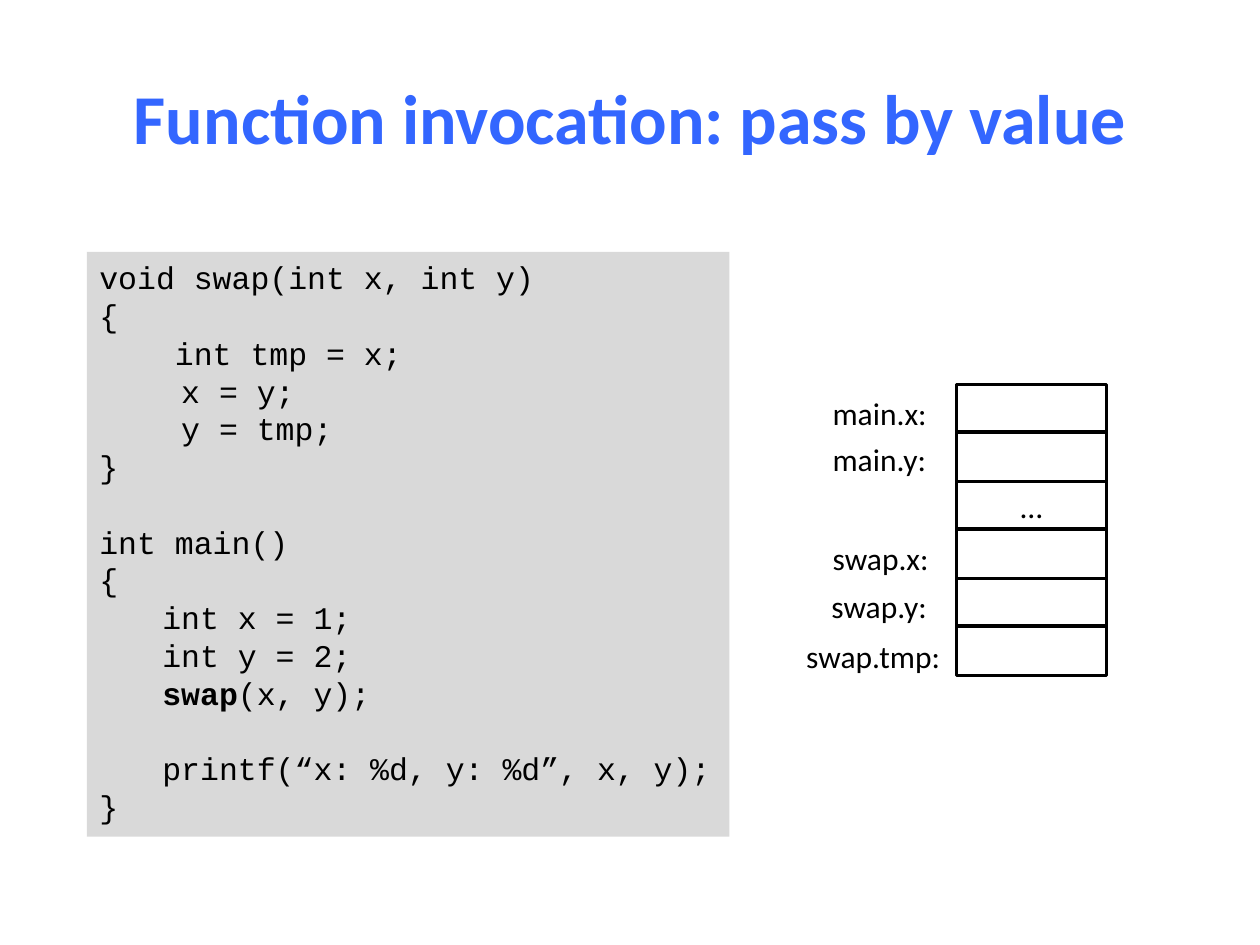
from dataclasses import dataclass
from lxml.etree import SubElement
from pptx import Presentation
from pptx.dml.color import RGBColor
from pptx.enum.shapes import MSO_SHAPE as Kind
from pptx.enum.text import MSO_ANCHOR as Anchor, MSO_AUTO_SIZE as Fit, PP_ALIGN as Align
from pptx.oxml.ns import qn
from pptx.util import Emu, Pt

SCALE = 9144
TAB = 50
LINE = 21.5
TOP, PITCH = 305, 38.4


@dataclass
class Cell:
    label: str = ""
    left: int = 0
    top: int = 0
    width: int = 0
    text: str = ""


@dataclass
class Line:
    text: str
    bold: str = ""
    rest: str = ""
    gap: bool = False


CELLS = [
    Cell("main.x:", 651, 308, 96),
    Cell("main.y:", 651, 344, 96),
    Cell(text="…"),
    Cell("swap.x:", 651, 423, 97),
    Cell("swap.y:", 650, 461, 97),
    Cell("swap.tmp:", 630, 501, 128),
]

CODE = [
    Line("void swap(int x, int y)"),
    Line("{"),
    Line("    int tmp = x;"),
    Line("\t x = y;"),
    Line("\t y = tmp;"),
    Line("}"),
    Line("int main()", gap=True),
    Line("{"),
    Line("\tint x = 1;"),
    Line("\tint y = 2;"),
    Line("\t", "swap", "(x, y);"),
    Line("\tprintf(“x: %d, y: %d”, x, y);", gap=True),
    Line("}"),
]


def px(n: int) -> Emu:
    return Emu(n * SCALE)


def color(code: str) -> RGBColor:
    return RGBColor.from_string(code)


def style(para, size: int = 18, face: str = "Calibri", tint: str = "000000") -> None:
    font = para.font
    font.size, font.name = Pt(size), face
    font.color.rgb = color(tint)


def rect(slide, x: int, y: int, w: int, h: int, fill: str):
    box = slide.shapes.add_shape(Kind.RECTANGLE, px(x), px(y), px(w), px(h))
    box.shadow.inherit = False
    box.fill.solid()
    box.fill.fore_color.rgb = color(fill)
    return box


def draw_title(slide) -> None:
    title = slide.shapes.title
    title.left, title.top, title.width, title.height = map(px, (50, 30, 900, 125))
    frame = title.text_frame
    frame.text = "Function invocation: pass by value"
    frame.vertical_anchor = Anchor.MIDDLE
    para = frame.paragraphs[0]
    para.alignment = Align.CENTER
    style(para, 40, tint="3366FF")
    para.font.bold = True


def draw_cell(slide, cell: Cell, row: int) -> None:
    box = rect(slide, 759, round(TOP + row * PITCH), 119, 39, "FFFFFF")
    box.line.color.rgb = color("000000")
    box.line.width = Pt(2)
    if cell.text:
        frame = box.text_frame
        frame.text = cell.text
        frame.vertical_anchor = Anchor.MIDDLE
        frame.paragraphs[0].alignment = Align.CENTER
        style(frame.paragraphs[0])
    if cell.label:
        tag = slide.shapes.add_textbox(px(cell.left), px(cell.top), px(cell.width), px(40))
        frame = tag.text_frame
        frame.word_wrap = False
        frame.auto_size = Fit.SHAPE_TO_FIT_TEXT
        frame.text = cell.label
        style(frame.paragraphs[0])


def draw_code(slide, lines: list[Line]) -> None:
    box = rect(slide, 69, 200, 510, 464, "D9D9D9")
    box.line.fill.background()
    frame = box.text_frame
    frame.word_wrap = True
    frame.vertical_anchor = Anchor.TOP
    for i, line in enumerate(lines):
        para = frame.add_paragraph() if i else frame.paragraphs[0]
        para.alignment = Align.LEFT
        if line.gap:
            para.space_before = Pt(LINE)
        tabs = SubElement(para._p.get_or_add_pPr(), qn("a:tabLst"))
        SubElement(tabs, qn("a:tab"), pos=str(px(TAB)), algn="l")
        style(para, face="Courier New")
        para.add_run().text = line.text
        if line.bold:
            run = para.add_run()
            run.text = line.bold
            run.font.bold = True
            para.add_run().text = line.rest


def main() -> None:
    deck = Presentation()
    deck.slide_width, deck.slide_height = px(1000), px(750)
    slide = deck.slides.add_slide(deck.slide_layouts[5])
    draw_title(slide)
    for row, cell in enumerate(CELLS):
        draw_cell(slide, cell, row)
    draw_code(slide, CODE)
    deck.save("out.pptx")


if __name__ == "__main__":
    main()
